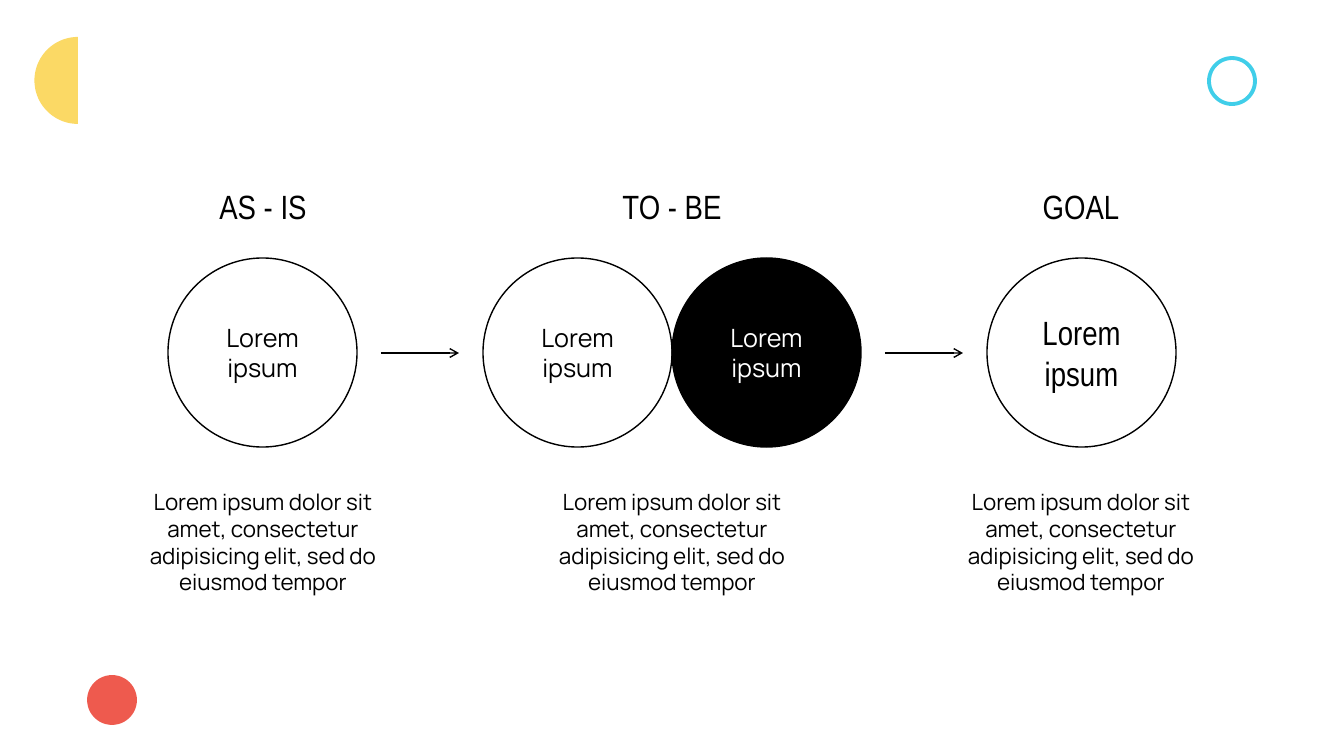
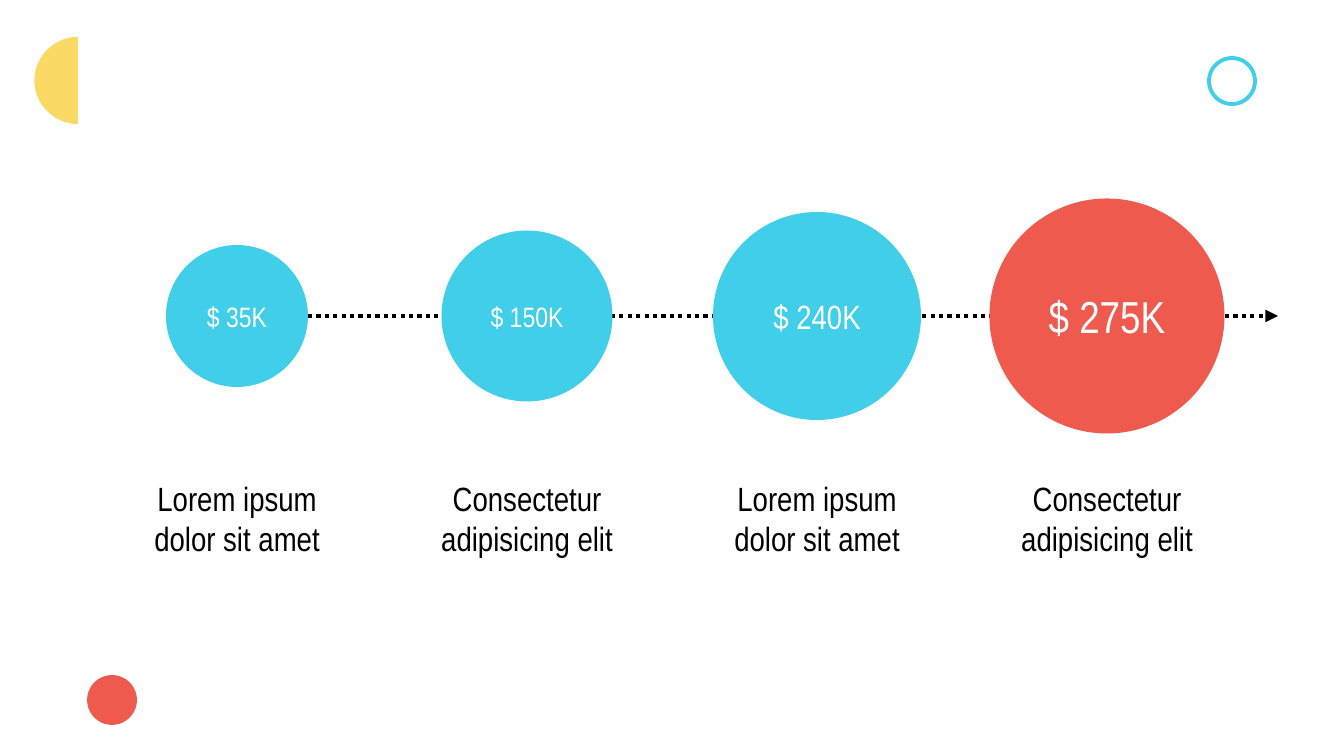
import math

import pptx
import pptx.dml.color
import pptx.enum.dml
import pptx.enum.shapes
import pptx.enum.text
import pptx.oxml.ns
import pptx.util
from lxml import etree

EMU_PER_PX = 914400 / 100.8
BLACK, WHITE = "000000", "FFFFFF"
YELLOW, RED, BLUE = "FBD965", "EE5A4E", "40CEE9"
NARROW, SANS = "Arial Narrow", "Manrope"


def px(n):
    return pptx.util.Emu(round(n * EMU_PER_PX))


def rgb(color):
    return pptx.dml.color.RGBColor.from_string(color)


def paint(s, fill=None, line=None, width=1):
    s.shadow.inherit = False
    if fill:
        s.fill.solid()
        s.fill.fore_color.rgb = rgb(fill)
    else:
        s.fill.background()
    if line:
        s.line.color.rgb = rgb(line)
        s.line.width = pptx.util.Pt(width)
    else:
        s.line.fill.background()


def write(tf, text, size, font, color=BLACK):
    tf.word_wrap = True
    p = tf.paragraphs[0]
    p.alignment = pptx.enum.text.PP_ALIGN.CENTER
    r = p.add_run()
    r.text = text
    r.font.size = pptx.util.Pt(size)
    r.font.name = font
    r.font.color.rgb = rgb(color)


def add_circle(slide, left, top, diameter, **style):
    s = slide.shapes.add_shape(pptx.enum.shapes.MSO_SHAPE.OVAL,
                               px(left), px(top), px(diameter), px(diameter))
    paint(s, **style)
    return s


def add_label(s, text, size, font, color):
    tf = s.text_frame
    tf.vertical_anchor = pptx.enum.text.MSO_ANCHOR.MIDDLE
    tf.margin_left = tf.margin_right = tf.margin_top = tf.margin_bottom = 0
    write(tf, text, size, font, color)


def add_text(slide, center, top, width, height, text, size, font):
    s = slide.shapes.add_textbox(px(center - width / 2), px(top), px(width), px(height))
    s.text_frame.auto_size = pptx.enum.text.MSO_AUTO_SIZE.SHAPE_TO_FIT_TEXT
    write(s.text_frame, text, size, font)


def add_arrow(slide, x1, x2, y, width, head, dash=None):
    qn = pptx.oxml.ns.qn
    s = slide.shapes.add_connector(pptx.enum.shapes.MSO_CONNECTOR.STRAIGHT,
                                   px(x1), px(y), px(x2), px(y))
    s.line.color.rgb = rgb(BLACK)
    s.line.width = pptx.util.Pt(width)
    if dash:
        s.line.dash_style = dash
    sp_pr = s.element.spPr
    etree.SubElement(sp_pr.find(qn("a:ln")), qn("a:tailEnd"), type=head)
    etree.SubElement(sp_pr, qn("a:effectLst"))


def add_half_disc(slide, right, top, diameter):
    radius = diameter / 2
    steps = 60
    angles = [math.pi * i / steps for i in range(steps + 1)]
    points = [(px(right - radius * math.sin(a)), px(top + radius - radius * math.cos(a)))
              for a in angles]
    builder = slide.shapes.build_freeform(*points[0])
    builder.add_line_segments(points[1:], close=True)
    paint(builder.convert_to_shape(), fill=YELLOW)


def add_slide(prs):
    slide = prs.slides.add_slide(prs.slide_layouts[6])
    add_half_disc(slide, 78, 37, 87)
    add_circle(slide, 89, 677, 46, fill=RED, line=RED, width=2.75)
    add_circle(slide, 1209, 58, 46, line=BLUE, width=2.75)
    return slide


def build_stages(prs):
    slide = add_slide(prs)
    diameter, top, gap = 189, 258, 24
    stages = [
        (168, None, BLACK, 18, SANS),
        (483, None, BLACK, 18, SANS),
        (672, BLACK, WHITE, 18, SANS),
        (987, None, BLACK, 24, NARROW),
    ]
    for left, fill, color, size, font in stages:
        s = add_circle(slide, left, top, diameter, fill=fill, line=BLACK)
        add_label(s, "Lorem ipsum", size, font, color)
    for before, after in ((0, 1), (2, 3)):
        add_arrow(slide, stages[before][0] + diameter + gap, stages[after][0] - gap,
                  353, 1, "arrow")
    caption = "Lorem ipsum dolor sit amet, consectetur adipisicing elit, sed do eiusmod tempor"
    for i, heading in enumerate(("AS - IS", "TO - BE", "GOAL")):
        center = 263 + 409 * i
        add_text(slide, center, 181, 190, 50, heading, 24, NARROW)
        add_text(slide, center, 483, 280, 119, caption, 16, SANS)


def build_growth(prs):
    slide = add_slide(prs)
    axis = 316
    add_arrow(slide, 308, 1278, axis, 3, "triangle", pptx.enum.dml.MSO_LINE.ROUND_DOT)
    steps = [
        ("$ 35K", 142, BLUE, 20, "Lorem ipsum dolor sit amet"),
        ("$ 150K", 171, BLUE, 20, "Consectetur adipisicing elit"),
        ("$ 240K", 208, BLUE, 24, "Lorem ipsum dolor sit amet"),
        ("$ 275K", 235, RED, 32, "Consectetur adipisicing elit"),
    ]
    for i, (amount, diameter, fill, size, caption) in enumerate(steps):
        center = 237 + 290 * i
        s = add_circle(slide, center - diameter / 2, axis - diameter / 2, diameter, fill=fill)
        add_label(s, amount, size, NARROW, WHITE)
        add_text(slide, center, 473, 208, 92, caption, 24, NARROW)


def main():
    prs = pptx.Presentation()
    prs.slide_width, prs.slide_height = px(1344), px(756)
    build_stages(prs)
    build_growth(prs)
    prs.save("out.pptx")


if __name__ == "__main__":
    main()
